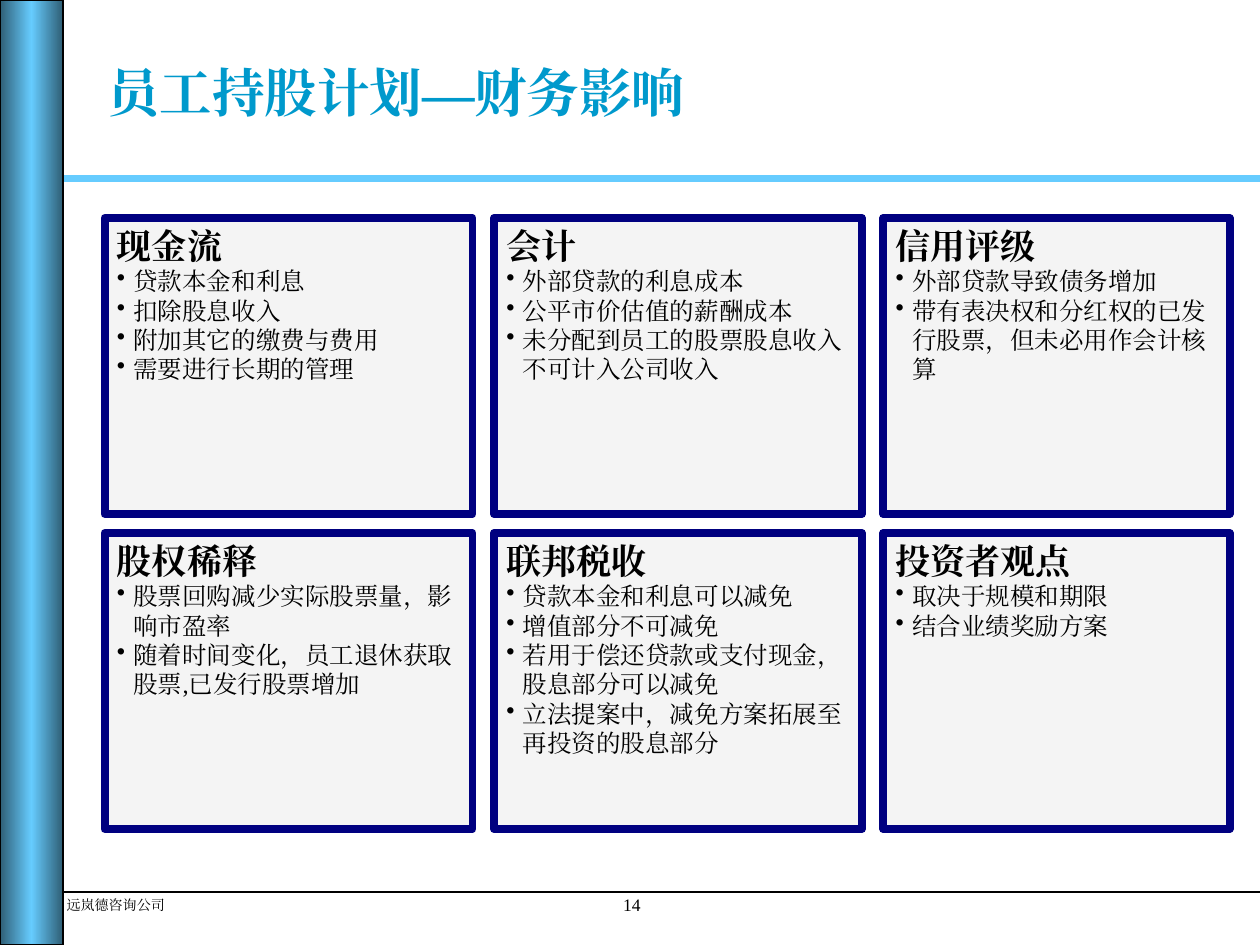
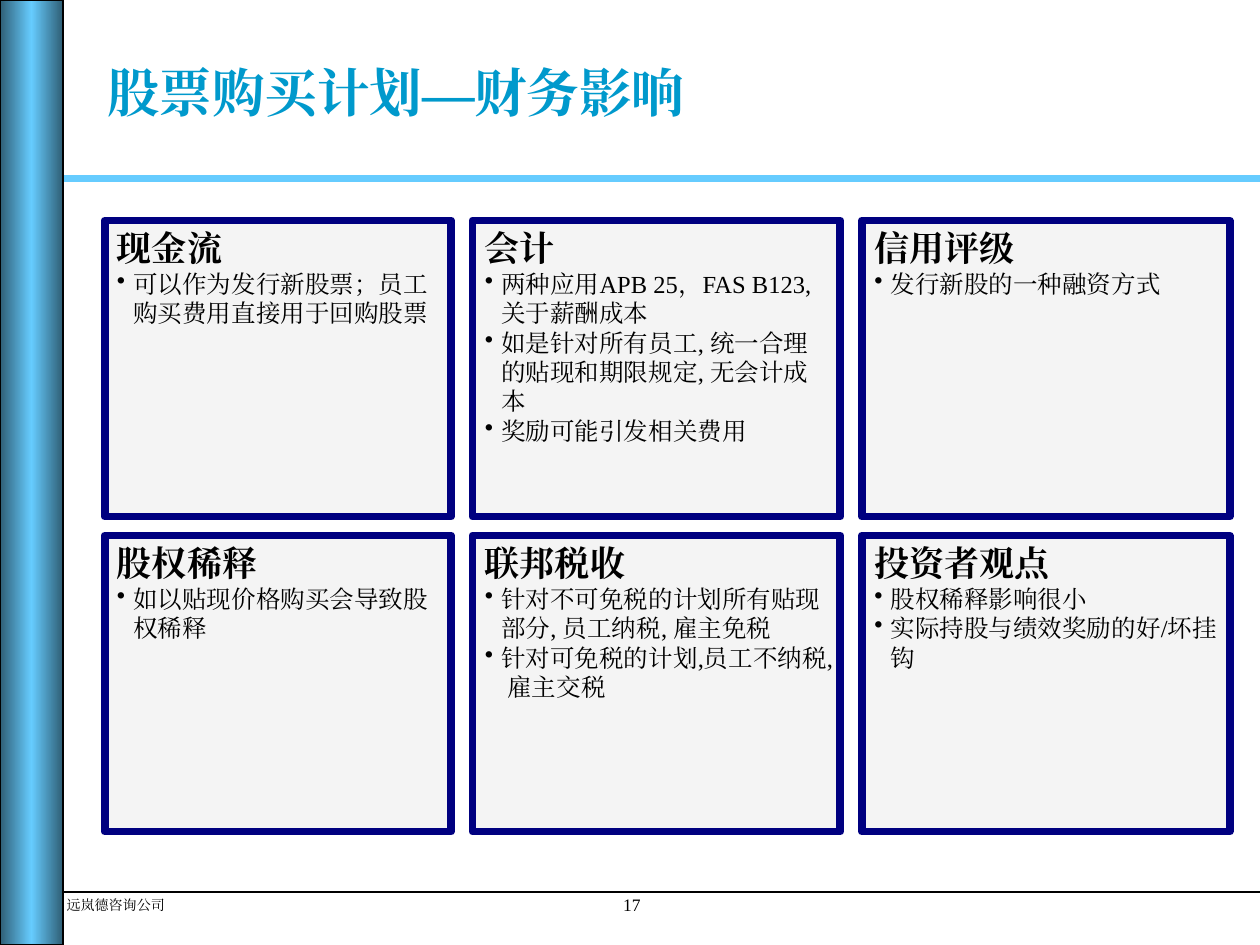
from copy import deepcopy

from lxml import etree
from pptx import Presentation
from pptx.dml.color import RGBColor
from pptx.enum.lang import MSO_LANGUAGE_ID
from pptx.enum.shapes import MSO_CONNECTOR, MSO_SHAPE
from pptx.enum.text import MSO_ANCHOR, MSO_AUTO_SIZE, PP_ALIGN
from pptx.oxml.ns import qn
from pptx.util import Inches, Pt

STRAIGHT = MSO_CONNECTOR.STRAIGHT
RECT = MSO_SHAPE.RECTANGLE
LEFT, CENTER = PP_ALIGN.LEFT, PP_ALIGN.CENTER
TOP, MIDDLE = MSO_ANCHOR.TOP, MSO_ANCHOR.MIDDLE
NO_FIT, GROW = MSO_AUTO_SIZE.NONE, MSO_AUTO_SIZE.SHAPE_TO_FIT_TEXT
CHINESE = MSO_LANGUAGE_ID.SIMPLIFIED_CHINESE

BLACK = RGBColor(0x00, 0x00, 0x00)
SKY = RGBColor(0x66, 0xCC, 0xFF)
DEEP_SKY = RGBColor(0x2F, 0x5E, 0x75)
TITLE_BLUE = RGBColor(0x00, 0x99, 0xCC)
NAVY = RGBColor(0x00, 0x00, 0x80)
PALE_GRAY = RGBColor(0xEA, 0xEA, 0xEA)

FONT = "Times New Roman"
COMPANY = "远岚德咨询公司"
BAND_W = 0.5
GRID_LEFT, GAP, ROW_STEP, PANEL_H = 0.83, 0.17, 2.5, 2.35
HANG = Inches(0.13)

SLIDES = [
    {
        "title": "员工持股计划—财务影响",
        "number": "14",
        "top": 1.73,
        "widths": (2.92, 2.92, 2.75),
        "panels": [
            ("现金流", ["贷款本金和利息", "扣除股息收入", "附加其它的缴费与费用",
                     "需要进行长期的管理"]),
            ("会计", ["外部贷款的利息成本", "公平市价估值的薪酬成本",
                    "未分配到员工的股票股息收入不可计入公司收入"]),
            ("信用评级", ["外部贷款导致债务增加",
                      "带有表决权和分红权的已发行股票，但未必用作会计核算"]),
            ("股权稀释", ["股票回购减少实际股票量，影响市盈率",
                      "随着时间变化，员工退休获取股票,已发行股票增加"]),
            ("联邦税收", ["贷款本金和利息可以减免", "增值部分不可减免",
                      "若用于偿还贷款或支付现金，股息部分可以减免",
                      "立法提案中，减免方案拓展至再投资的股息部分"]),
            ("投资者观点", ["取决于规模和期限", "结合业绩奖励方案"]),
        ],
    },
    {
        "title": "股票购买计划—财务影响",
        "number": "17",
        "top": 1.75,
        "widths": (2.75, 2.92, 2.92),
        "panels": [
            ("现金流", ["可以作为发行新股票；员工购买费用直接用于回购股票"]),
            ("会计", ["两种应用APB 25，FAS B123, 关于薪酬成本",
                    "如是针对所有员工, 统一合理的贴现和期限规定, 无会计成本",
                    "奖励可能引发相关费用"]),
            ("信用评级", ["发行新股的一种融资方式"]),
            ("股权稀释", ["如以贴现价格购买会导致股权稀释"]),
            ("联邦税收", ["针对不可免税的计划所有贴现部分, 员工纳税, 雇主免税",
                      "针对可免税的计划,员工不纳税, 雇主交税"]),
            ("投资者观点", ["股权稀释影响很小", "实际持股与绩效奖励的好/坏挂钩"]),
        ],
    },
]


def add_run(p, text, size, color=BLACK, bold=False):
    r = p.add_run()
    r.text = text
    r.font.size = Pt(size)
    r.font.bold = bold
    r.font.color.rgb = color
    r.font.name = FONT
    r.font.language_id = CHINESE
    etree.SubElement(r.font._element, qn("a:ea"), typeface=FONT)


def add_rule(s, y, color, width):
    line = s.shapes.add_connector(STRAIGHT, Inches(BAND_W), Inches(y), Inches(10), Inches(y))
    line.line.color.rgb = color
    line.line.width = Pt(width)
    etree.SubElement(line._element.spPr, qn("a:effectLst"))


def add_footer_text(s, text, box, size, align, right_inset):
    tf = s.shapes.add_textbox(*map(Inches, box)).text_frame
    tf.word_wrap = False
    tf.auto_size = GROW
    tf.margin_right = Inches(right_inset)
    p = tf.paragraphs[0]
    p.alignment = align
    add_run(p, text, size)


def add_side_band(s):
    sp = s.shapes.add_shape(RECT, 0, 0, Inches(BAND_W), Inches(7.5))
    sp.shadow.inherit = False
    sp.fill.gradient()
    sp.fill.gradient_angle = 0
    stops = sp.fill._xPr.find(qn("a:gradFill")).find(qn("a:gsLst"))
    stops.insert(1, deepcopy(stops[0]))
    for stop, position, color in zip(sp.fill.gradient_stops, (0, 0.5, 1),
                                     (DEEP_SKY, SKY, DEEP_SKY)):
        stop.position = position
        stop.color.rgb = color
    sp.line.color.rgb = BLACK
    sp.line.width = Pt(1)


def add_frame(s, number):
    add_rule(s, 1.42, SKY, 4)
    add_footer_text(s, number, (4.63, 7.05, 0.77, 0.26), 10, CENTER, 0.1)
    add_footer_text(s, COMPANY, (0.43, 7.07, 0.88, 0.23), 8, LEFT, 0)
    add_rule(s, 7.08, BLACK, 1)
    add_side_band(s)


def set_title(s, text):
    sp = s.shapes.title
    sp.left, sp.top, sp.width, sp.height = map(Inches, (0.75, 0.13, 9.08, 1.25))
    tf = sp.text_frame
    tf.auto_size = NO_FIT
    tf.vertical_anchor = MIDDLE
    p = tf.paragraphs[0]
    p.alignment = LEFT
    p.line_spacing = Pt(32)
    add_run(p, text, 30, TITLE_BLUE, True)


def hang_indent(p, bullet):
    p.alignment = LEFT
    pPr = p._p.get_or_add_pPr()
    pPr.set("marL", str(HANG))
    pPr.set("indent", str(-HANG))
    if bullet:
        etree.SubElement(pPr, qn("a:buChar"), char="•")


def add_panel(s, box, heading, points):
    sp = s.shapes.add_shape(RECT, *map(Inches, box))
    sp.shadow.inherit = False
    sp.fill.solid()
    sp.fill.fore_color.rgb = PALE_GRAY
    fill_color = sp._element.spPr.find(qn("a:solidFill"))[0]
    etree.SubElement(fill_color, qn("a:alpha"), val="50000")
    sp.line.color.rgb = NAVY
    sp.line.width = Pt(4.5)
    tf = sp.text_frame
    tf.word_wrap = True
    tf.vertical_anchor = TOP
    p = tf.paragraphs[0]
    hang_indent(p, False)
    add_run(p, heading, 20, bold=True)
    for point in points:
        p = tf.add_paragraph()
        hang_indent(p, True)
        add_run(p, point, 14)


def add_panel_grid(s, top, widths, panels):
    for i, (heading, points) in enumerate(panels):
        row, col = divmod(i, len(widths))
        left = GRID_LEFT + sum(widths[:col]) + col * GAP
        add_panel(s, (left, top + row * ROW_STEP, widths[col], PANEL_H), heading, points)


def build_slide(prs, content):
    s = prs.slides.add_slide(prs.slide_layouts[5])
    add_frame(s, content["number"])
    set_title(s, content["title"])
    add_panel_grid(s, content["top"], content["widths"], content["panels"])


def main():
    prs = Presentation()
    prs.slide_width, prs.slide_height = Inches(10), Inches(7.5)
    for content in SLIDES:
        build_slide(prs, content)
    prs.save("out.pptx")


if __name__ == "__main__":
    main()
